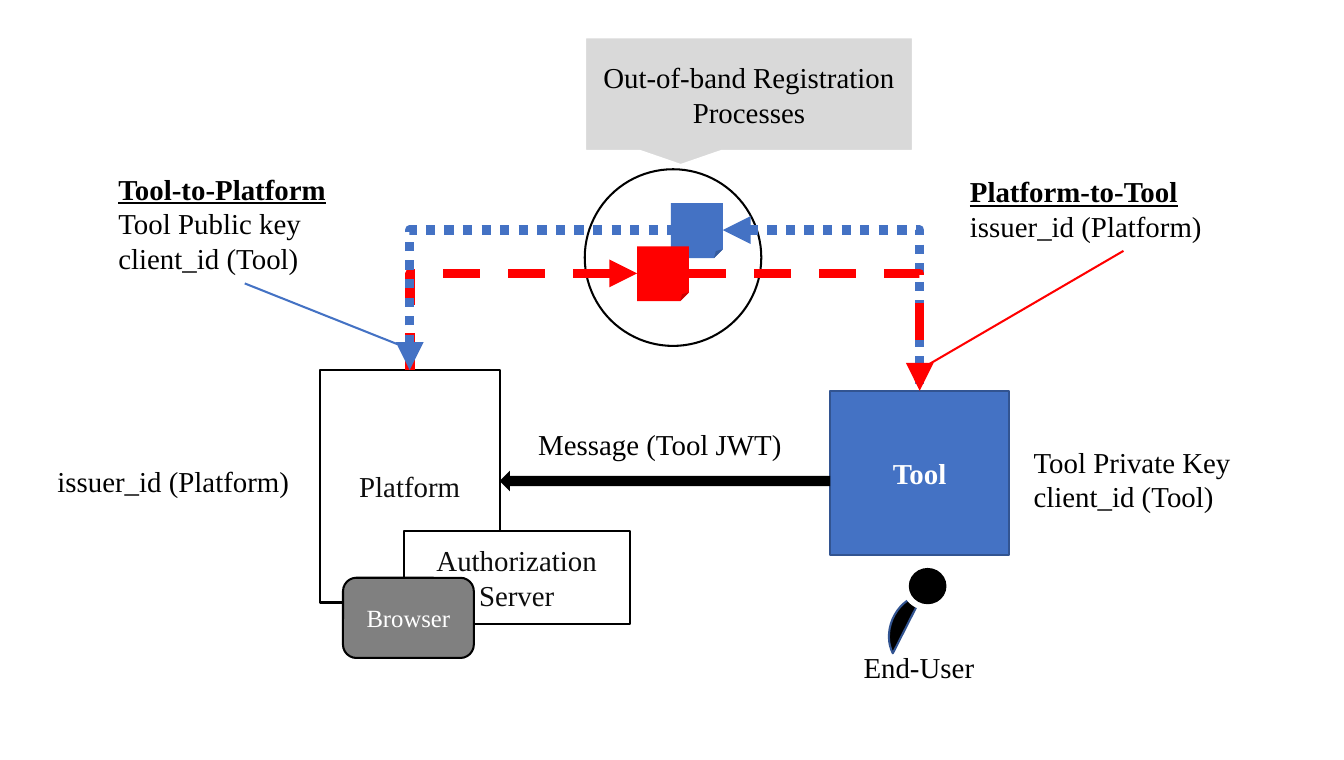
"""Build a slide showing how a platform and a tool exchange registration data and messages."""
from lxml.etree import SubElement
from pptx import Presentation
from pptx.dml.color import RGBColor
from pptx.enum.dml import MSO_LINE
from pptx.enum.shapes import MSO_CONNECTOR, MSO_SHAPE
from pptx.enum.text import MSO_ANCHOR, MSO_AUTO_SIZE, PP_ALIGN
from pptx.oxml.ns import qn
from pptx.util import Pt

BLUE, RED, BLACK, WHITE = "4472C4", "FF0000", "000000", "FFFFFF"
NAVY, INK, GREY, SILVER = "325491", "0D0D0D", "808080", "D9D9D9"


def add_box(shapes, kind, bounds, fill=None, line=None, lines=(), color=BLACK, size=14,
            bold=False, heading=False, align=PP_ALIGN.CENTER, label=False, wrap=True):
    """Add a shape, or a plain text box when kind is None, with one paragraph per line."""
    lengths = [Pt(value) for value in bounds]
    shape = shapes.add_shape(kind, *lengths) if kind else shapes.add_textbox(*lengths)
    if kind:
        shape.shadow.inherit = False
    if fill:
        shape.fill.solid()
        shape.fill.fore_color.rgb = RGBColor.from_string(fill)
    if line:
        shape.line.color.rgb = RGBColor.from_string(line)
        shape.line.width = Pt(1)
    else:
        shape.line.fill.background()
    if not lines:
        return shape
    frame = shape.text_frame
    frame.word_wrap = wrap
    frame.vertical_anchor = MSO_ANCHOR.TOP if label else MSO_ANCHOR.MIDDLE
    if label:
        frame.auto_size = MSO_AUTO_SIZE.SHAPE_TO_FIT_TEXT
    for index, text in enumerate(lines):
        paragraph = frame.add_paragraph() if index else frame.paragraphs[0]
        paragraph.alignment = align
        run = paragraph.add_run()
        run.text = text
        run.font.name = "Times New Roman"
        run.font.size = Pt(size)
        run.font.bold = bold or (heading and index == 0)
        run.font.underline = heading and index == 0
        run.font.color.rgb = RGBColor.from_string(color)
    return shape


def add_line(shapes, start, end, color, width=1, dash=None, arrow=None, rising=False):
    """Add a straight line, or a one-bend dashed arrow that may first run upwards."""
    (x1, y1), (x2, y2) = start, end
    if rising:
        middle_x, middle_y = (x1 + x2) / 2, (y1 + y2) / 2
        half_width, half_height = (y1 - y2) / 2, (x2 - x1) / 2
        x1, x2 = middle_x - half_width, middle_x + half_width
        y1, y2 = middle_y - half_height, middle_y + half_height
    kind = MSO_CONNECTOR.ELBOW if dash else MSO_CONNECTOR.STRAIGHT
    connector = shapes.add_connector(kind, Pt(x1), Pt(y1), Pt(x2), Pt(y2))
    connector.line.color.rgb = RGBColor.from_string(color)
    connector.line.width = Pt(width)
    properties = connector.element.spPr
    if dash:
        connector.line.dash_style = dash
        properties.find(qn("a:prstGeom")).set("prst", "bentConnector2")
        SubElement(properties.find(qn("a:ln")), qn("a:" + arrow)).set("type", "triangle")
    if rising:
        frame = properties.find(qn("a:xfrm"))
        for name, value in (("rot", "5400000"), ("flipH", "1"), ("flipV", "1")):
            frame.set(name, value)
    SubElement(properties, qn("a:effectLst"))


presentation = Presentation()
presentation.slide_width, presentation.slide_height = Pt(652.32), Pt(368.64)
slide = presentation.slides.add_slide(presentation.slide_layouts[6])
shapes = slide.shapes

platform_top, tool_top = (198.9, 179.5), (446.4, 189.5)
blue_y, red_y = 111.6, 132.6
blue_note, red_note = (325.6, 98.6, 25.2, 26.6), (309.2, 119.5, 25.2, 26.6)
blue_style = (BLUE, 4.5, MSO_LINE.ROUND_DOT, "headEnd")
red_style = (RED, 4.5, MSO_LINE.DASH, "tailEnd")
label_style = {"label": True, "align": PP_ALIGN.LEFT}

add_box(shapes, MSO_SHAPE.OVAL, (283.8, 82.1, 85.7, 85.7), WHITE, BLACK)
add_line(shapes, (350.8, blue_y), tool_top, *blue_style)
add_box(shapes, MSO_SHAPE.FOLDED_CORNER, blue_note, BLUE)
add_box(shapes, MSO_SHAPE.RECTANGLE, (402.8, 189.5, 87.2, 79.5), BLUE, NAVY,
        ["Tool"], WHITE, bold=True)
add_box(shapes, MSO_SHAPE.RECTANGLE, (155.3, 179.5, 87.2, 112.8), WHITE, BLACK,
        ["Platform"], INK)
add_box(shapes, MSO_SHAPE.RECTANGLE, (463.7, 80.9, 162.7, 41), WHITE, None,
        ["Platform-to-Tool", "issuer_id (Platform)"], heading=True, **label_style)

user = shapes.add_group_shape().shapes
body = add_box(user, MSO_SHAPE.CHORD, (428.4, 291.6, 36, 28.8), BLACK, NAVY)
body.rotation = 113.2
body.adjustments[0], body.adjustments[1] = 16.2, 96.66
add_box(user, MSO_SHAPE.OVAL, (437.8, 272.2, 24.5, 23.8), WHITE)
add_box(user, MSO_SHAPE.OVAL, (441.6, 276, 17.3, 16.6), BLACK, BLACK)
add_box(user, None, (411.8, 311.4, 68.4, 24.2), lines=["End-User"], label=True, wrap=False)

add_box(shapes, MSO_SHAPE.RECTANGLE, (494.6, 212, 120.2, 41), WHITE, None,
        ["Tool Private Key", "client_id (Tool)"], **label_style)
add_box(shapes, MSO_SHAPE.RECTANGLE, (13, 221.2, 134.6, 24.2), WHITE, None,
        ["issuer_id (Platform)"], align=PP_ALIGN.RIGHT, label=True)
add_box(shapes, MSO_SHAPE.FOLDED_CORNER, red_note, RED)
add_box(shapes, MSO_SHAPE.RECTANGLE, (50.4, 79.5, 136, 58), WHITE, None,
        ["Tool-to-Platform", "Tool Public key", "client_id (Tool)"],
        heading=True, **label_style)
add_line(shapes, platform_top, (309.2, red_y), *red_style, rising=True)
add_box(shapes, MSO_SHAPE.RECTANGULAR_CALLOUT, (284, 18.2, 159.1, 55), SILVER, WHITE,
        ["Out-of-band Registration Processes"])
add_line(shapes, (545.3, 121.7), (446.4, 179.3), RED)
add_line(shapes, (118.8, 137.5), (193, 167), BLUE)
add_box(shapes, MSO_SHAPE.RECTANGLE, (196, 257.5, 109.7, 45.3), WHITE, BLACK,
        ["Authorization Server"], INK)
add_line(shapes, platform_top, (325.6, blue_y), *blue_style, rising=True)
add_line(shapes, (334.6, red_y), tool_top, *red_style)
message_arrow = add_box(shapes, MSO_SHAPE.RIGHT_ARROW, (242.5, 228.3, 160.4, 10), BLACK)
message_arrow.rotation = 180
add_box(shapes, None, (253.4, 203.4, 133.9, 24.2), lines=["Message (Tool JWT)"],
        label=True, wrap=False)
add_box(shapes, MSO_SHAPE.ROUNDED_RECTANGLE, (166.5, 280.3, 63.5, 38.9), GREY, BLACK,
        ["Browser"], WHITE, size=12)

presentation.save("out.pptx")
